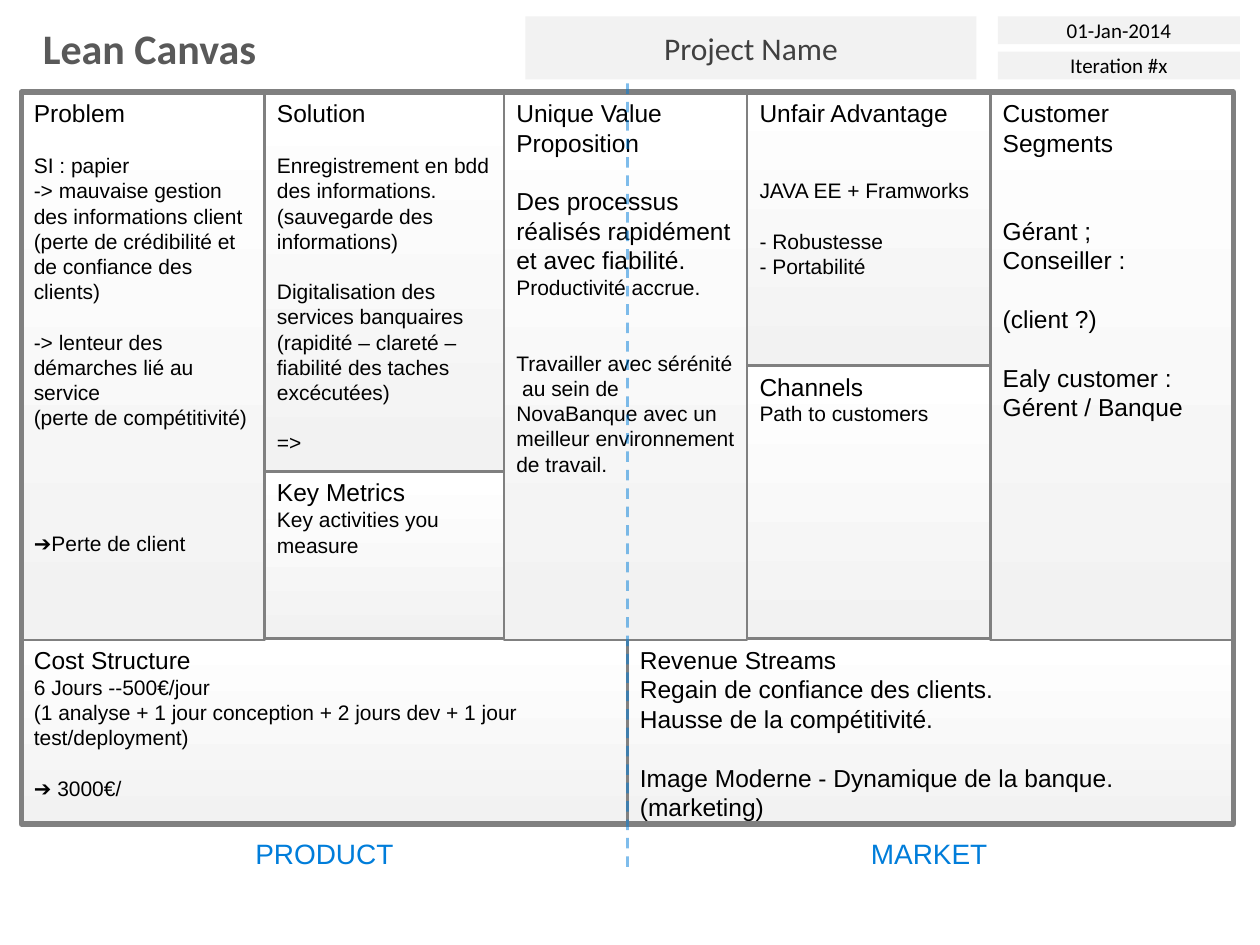
from lxml.etree import SubElement
from pptx import Presentation
from pptx.dml.color import RGBColor
from pptx.enum.dml import MSO_LINE
from pptx.enum.shapes import MSO_CONNECTOR, MSO_SHAPE
from pptx.enum.text import MSO_ANCHOR, MSO_AUTO_SIZE, PP_ALIGN
from pptx.oxml.ns import qn
from pptx.util import Inches, Pt


def color(value):
    return RGBColor.from_string(value)


def add_text(para, text, size, font, ink, align=PP_ALIGN.LEFT, bold=False):
    para.alignment = align
    span = para.add_run()
    span.text = text
    span.font.size = Pt(size)
    span.font.name = font
    span.font.bold = bold
    span.font.color.rgb = color(ink)


deck = Presentation()
deck.slide_width = Inches(10)
deck.slide_height = Inches(7.5)
page = deck.slides.add_slide(deck.slide_layouts[5])

title = page.shapes.title
title.left, title.top, title.width, title.height = [Inches(n) for n in (0.24, 0.13, 1.92, 0.5)]
frame = title.text_frame
frame.word_wrap = False
frame.auto_size = MSO_AUTO_SIZE.SHAPE_TO_FIT_TEXT
frame.vertical_anchor = MSO_ANCHOR.TOP
add_text(frame.paragraphs[0], "Lean Canvas", 24, "Calibri", "595959", bold=True)

headers = [
    ("Project Name", 4.17, 0.13, 3.58, 0.5, 18, "404040"),
    ("01-Jan-2014", 7.92, 0.13, 1.92, 0.22, 12, "000000"),
    ("Iteration #x", 7.92, 0.41, 1.92, 0.22, 12, "000000"),
]
for text, left, top, width, height, size, ink in headers:
    box = page.shapes.add_shape(
        MSO_SHAPE.RECTANGLE, Inches(left), Inches(top), Inches(width), Inches(height))
    box.shadow.inherit = False
    box.fill.solid()
    box.fill.fore_color.rgb = color("F2F2F2")
    box.line.fill.background()
    box.text_frame.vertical_anchor = MSO_ANCHOR.MIDDLE
    add_text(box.text_frame.paragraphs[0], text, size, "Calibri", ink, PP_ALIGN.CENTER)

TOP, FLOOR = 0.73, 5.07
COLUMN, TALL = 1.93, 4.35
HALF, LOW = 4.81, 1.46

# Each line: blank lines of space above, size, text
blocks = [
    ("Cost Structure", 0.17, FLOOR, HALF, LOW, [
        (0, 12, "6 Jours --500€/jour "),
        (0, 12, "(1 analyse + 1 jour conception + 2 jours dev + 1 jour test/deployment)"),
        (1, 12, "➔ 3000€/"),
    ]),
    ("Revenue Streams", 4.98, FLOOR, HALF, LOW, [
        (0, 14, "Regain de confiance des clients."),
        (0, 14, "Hausse de la compétitivité."),
        (1, 14, "Image Moderne - Dynamique de la banque. (marketing)"),
    ]),
    ("Problem", 0.17, TOP, COLUMN, TALL, [
        (1, 12, "SI : papier "),
        (0, 12, "-> mauvaise gestion des informations client"),
        (0, 12, "(perte de crédibilité et de confiance des clients)"),
        (1, 12, "-> lenteur des démarches lié au service"),
        (0, 12, "(perte de compétitivité)"),
        (4, 12, "➔Perte de client"),
    ]),
    ("Solution", 2.1, TOP, COLUMN, 3.01, [
        (1, 12, "Enregistrement en bdd des informations."),
        (0, 12, "(sauvegarde des informations)"),
        (1, 12, "Digitalisation des services banquaires "
                "(rapidité – clareté – fiabilité des taches excécutées)"),
        (1, 12, "=> "),
    ]),
    ("Key Metrics", 2.1, 3.74, COLUMN, 1.33, [
        (0, 12, "Key activities you measure"),
    ]),
    ("Unique Value Proposition", 4, TOP, COLUMN, TALL, [
        (1, 14, "Des processus réalisés rapidément et avec fiabilité."),
        (0, 12, "Productivité accrue."),
        (2, 12, "Travailler avec sérénité  au sein de NovaBanque avec un "
                "meilleur environnement de travail."),
    ]),
    ("Unfair Advantage", 5.93, TOP, COLUMN, 2.17, [
        (2, 12, "JAVA EE + Framworks"),
        (1, 12, "- Robustesse"),
        (0, 12, "- Portabilité"),
    ]),
    ("Channels", 5.93, 2.9, COLUMN, 2.17, [
        (0, 12, "Path to customers"),
    ]),
    ("Customer Segments", 7.86, TOP, COLUMN, TALL, [
        (2, 14, "Gérant ;"),
        (0, 14, "Conseiller :"),
        (1, 14, "(client ?)"),
        (1, 14, "Ealy customer : Gérent / Banque"),
    ]),
    ("", 0.17, TOP, 9.62, 5.81, []),
]
for heading, left, top, width, height, lines in blocks:
    box = page.shapes.add_shape(
        MSO_SHAPE.ROUNDED_RECTANGLE, Inches(left), Inches(top), Inches(width), Inches(height))
    box.adjustments[0] = 0
    box.shadow.inherit = False
    box.line.color.rgb = color("808080")
    if not heading:
        box.fill.background()
        box.line.width = Pt(3)
        continue
    box.line.width = Pt(1.5)
    box.fill.gradient()
    box.fill.gradient_angle = 90
    for stop, shade in zip(box.fill.gradient_stops, ("F2F2F2", "FFFFFF")):
        stop.color.rgb = color(shade)
    frame = box.text_frame
    frame.vertical_anchor = MSO_ANCHOR.TOP
    add_text(frame.paragraphs[0], heading, 14, "Arial", "000000")
    for blanks, size, text in lines:
        para = frame.add_paragraph()
        para.space_before = Pt(blanks * size * 1.2)
        add_text(para, text, size, "Arial", "000000")

for text, left, width in [("PRODUCT", 1.92, 1.31), ("MARKET", 6.81, 1.13)]:
    box = page.shapes.add_textbox(Inches(left), Inches(6.59), Inches(width), Inches(0.37))
    box.text_frame.word_wrap = False
    box.text_frame.auto_size = MSO_AUTO_SIZE.SHAPE_TO_FIT_TEXT
    add_text(box.text_frame.paragraphs[0], text, 16, "Arial", "007DDA", PP_ALIGN.CENTER)

divider = page.shapes.add_connector(
    MSO_CONNECTOR.STRAIGHT, Inches(4.98), Inches(6.88), Inches(4.98), Inches(0.61))
divider.line.color.rgb = color("007DDA")
divider.line.width = Pt(1.5)
divider.line.dash_style = MSO_LINE.DASH
tint = next(divider.element.iter(qn("a:srgbClr")))
SubElement(tint, qn("a:alpha")).set("val", "50000")
SubElement(divider.element.spPr, qn("a:effectLst"))

deck.save("out.pptx")
